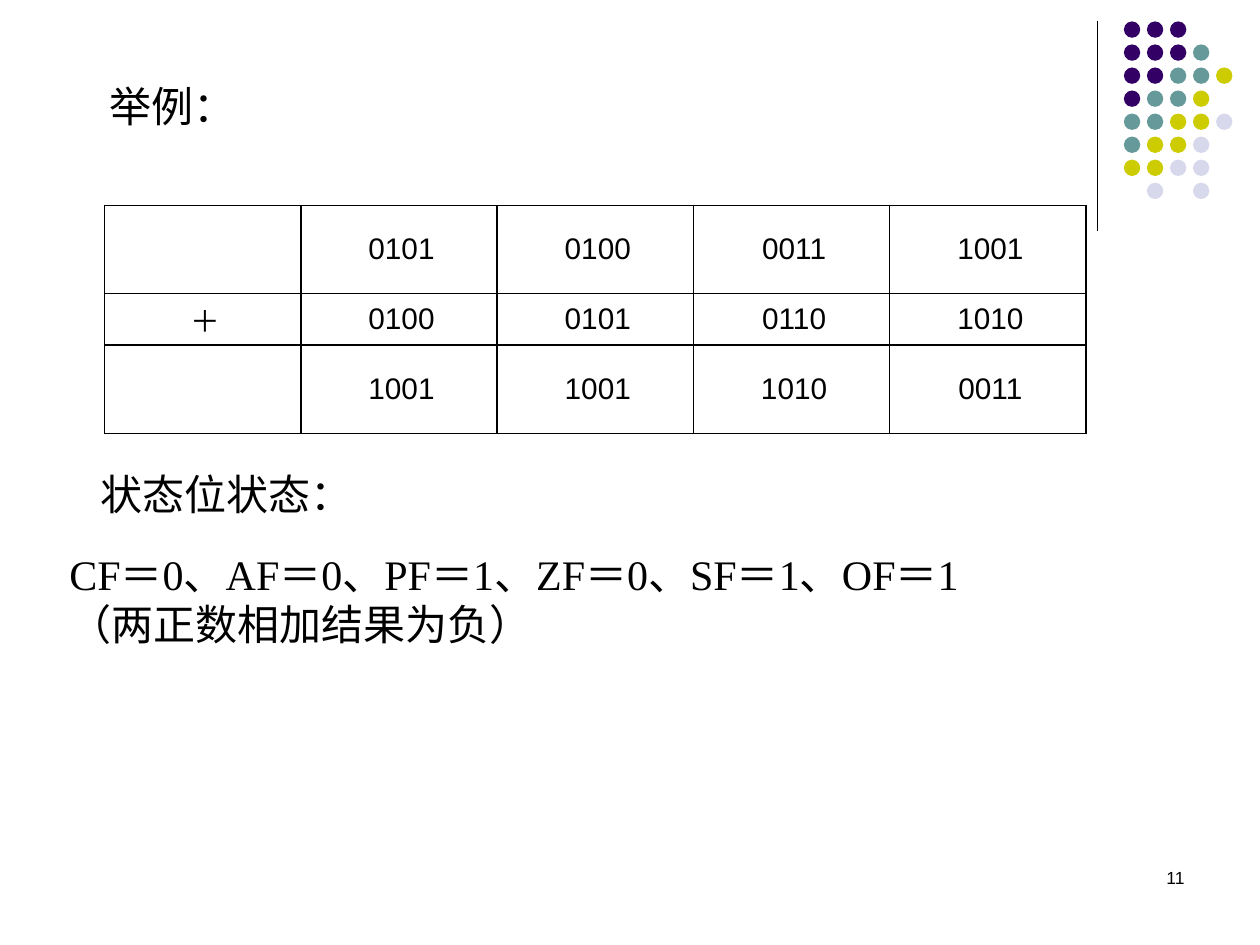
from lxml import etree
from pptx import Presentation
from pptx.dml.color import RGBColor
from pptx.enum.shapes import MSO_CONNECTOR, MSO_SHAPE
from pptx.enum.text import MSO_ANCHOR, PP_ALIGN
from pptx.oxml.ns import qn
from pptx.util import Inches, Pt

OVAL = MSO_SHAPE.OVAL
STRAIGHT = MSO_CONNECTOR.STRAIGHT
LEFT, CENTER, RIGHT = PP_ALIGN.LEFT, PP_ALIGN.CENTER, PP_ALIGN.RIGHT
TOP, MIDDLE = MSO_ANCHOR.TOP, MSO_ANCHOR.MIDDLE

BLACK = "000000"
SERIF, SANS = "Times New Roman", "Arial"

DOT_COLORS = {"P": "330066", "T": "669999", "Y": "CCCC00", "L": "D8D8EC"}
DOT_ROWS = ["PPP", "PPPT", "PPTTY", "PTTY", "TTYYL", "TYYL", "YYLL", ".L.L"]
DOT_LEFT, DOT_TOP, DOT_SIZE, DOT_PITCH = 8.92, 0.17, 0.13, 1.28 / 7

ADDITION = [
    ["", "0101", "0100", "0011", "1001"],
    ["＋", "0100", "0101", "0110", "1010"],
    ["", "1001", "1001", "1010", "0011"],
]
TABLE_LEFT, TABLE_TOP, TABLE_WIDTH = 0.83, 1.63, 7.79
ROW_HEIGHTS = [0.7, 0.41, 0.7]

NARROW, WIDE = (0.04, 0), (0.1, 0.1)
TEXTS = [
    (["举例："], (0.83, 0.59, 1.11, 0.5), MIDDLE, False, LEFT, SERIF, 24, NARROW),
    (["状态位状态："], (0.76, 3.67, 2.04, 0.5), TOP, False, LEFT, SERIF, 24, NARROW),
    (["CF＝0、AF＝0、PF＝1、ZF＝0、SF＝1、OF＝1", "（两正数相加结果为负）"],
     (0.51, 4.1, 8.11, 1.3), MIDDLE, True, LEFT, SERIF, 24, NARROW),
    (["11"], (7.17, 6.83, 2.33, 0.5), TOP, True, RIGHT, SANS, 10, WIDE),
]


def color(value):
    return RGBColor.from_string(value)


def write(paragraph, text, font, size, alignment):
    paragraph.alignment = alignment
    run = paragraph.add_run()
    run.text = text
    run.font.name = font
    run.font.size = Pt(size)
    run.font.color.rgb = color(BLACK)


def add_text(slide, lines, box, anchor, wrap, alignment, font, size, insets):
    frame = slide.shapes.add_textbox(*map(Inches, box)).text_frame
    frame.word_wrap = wrap
    frame.vertical_anchor = anchor
    frame.margin_left, frame.margin_right = map(Inches, insets)
    for index, line in enumerate(lines):
        paragraph = frame.add_paragraph() if index else frame.paragraphs[0]
        write(paragraph, line, font, size, alignment)


def add_divider(slide):
    line = slide.shapes.add_connector(
        STRAIGHT, Inches(8.71), Inches(0.17), Inches(8.71), Inches(1.83))
    line.line.color.rgb = color(BLACK)
    line.line.width = Pt(0.75)
    etree.SubElement(line._element.spPr, qn("a:effectLst"))


def add_dots(slide):
    group = slide.shapes.add_group_shape()
    for row, codes in enumerate(DOT_ROWS):
        for column, code in enumerate(codes):
            if code not in DOT_COLORS:
                continue
            dot = group.shapes.add_shape(
                OVAL, Inches(DOT_LEFT + column * DOT_PITCH),
                Inches(DOT_TOP + row * DOT_PITCH), Inches(DOT_SIZE), Inches(DOT_SIZE))
            dot.shadow.inherit = False
            dot.fill.solid()
            dot.fill.fore_color.rgb = color(DOT_COLORS[code])
            dot.line.fill.background()


def add_borders(cell):
    properties = cell._tc.get_or_add_tcPr()
    for side in ("a:lnL", "a:lnR", "a:lnT", "a:lnB"):
        border = etree.SubElement(properties, qn(side), w=str(Pt(1)))
        fill = etree.SubElement(border, qn("a:solidFill"))
        etree.SubElement(fill, qn("a:srgbClr"), val=BLACK)


def add_addition_table(slide):
    table = slide.shapes.add_table(
        len(ADDITION), len(ADDITION[0]), Inches(TABLE_LEFT), Inches(TABLE_TOP),
        Inches(TABLE_WIDTH), Inches(sum(ROW_HEIGHTS))).table
    table.first_row = False
    table.horz_banding = False
    for column in table.columns:
        column.width = Inches(TABLE_WIDTH / len(ADDITION[0]))
    for row, (height, values) in enumerate(zip(ROW_HEIGHTS, ADDITION)):
        table.rows[row].height = Inches(height)
        for column, value in enumerate(values):
            cell = table.cell(row, column)
            add_borders(cell)
            cell.fill.background()
            cell.vertical_anchor = MIDDLE
            cell.margin_left = Inches(0.04)
            cell.margin_right = cell.margin_top = cell.margin_bottom = 0
            if value:
                write(cell.text_frame.paragraphs[0], value, SANS, 17, CENTER)


def main():
    presentation = Presentation()
    presentation.slide_width = Inches(10)
    presentation.slide_height = Inches(7.5)
    slide = presentation.slides.add_slide(presentation.slide_layouts[6])
    add_divider(slide)
    add_dots(slide)
    add_addition_table(slide)
    for item in TEXTS:
        add_text(slide, *item)
    presentation.save("out.pptx")


if __name__ == "__main__":
    main()
